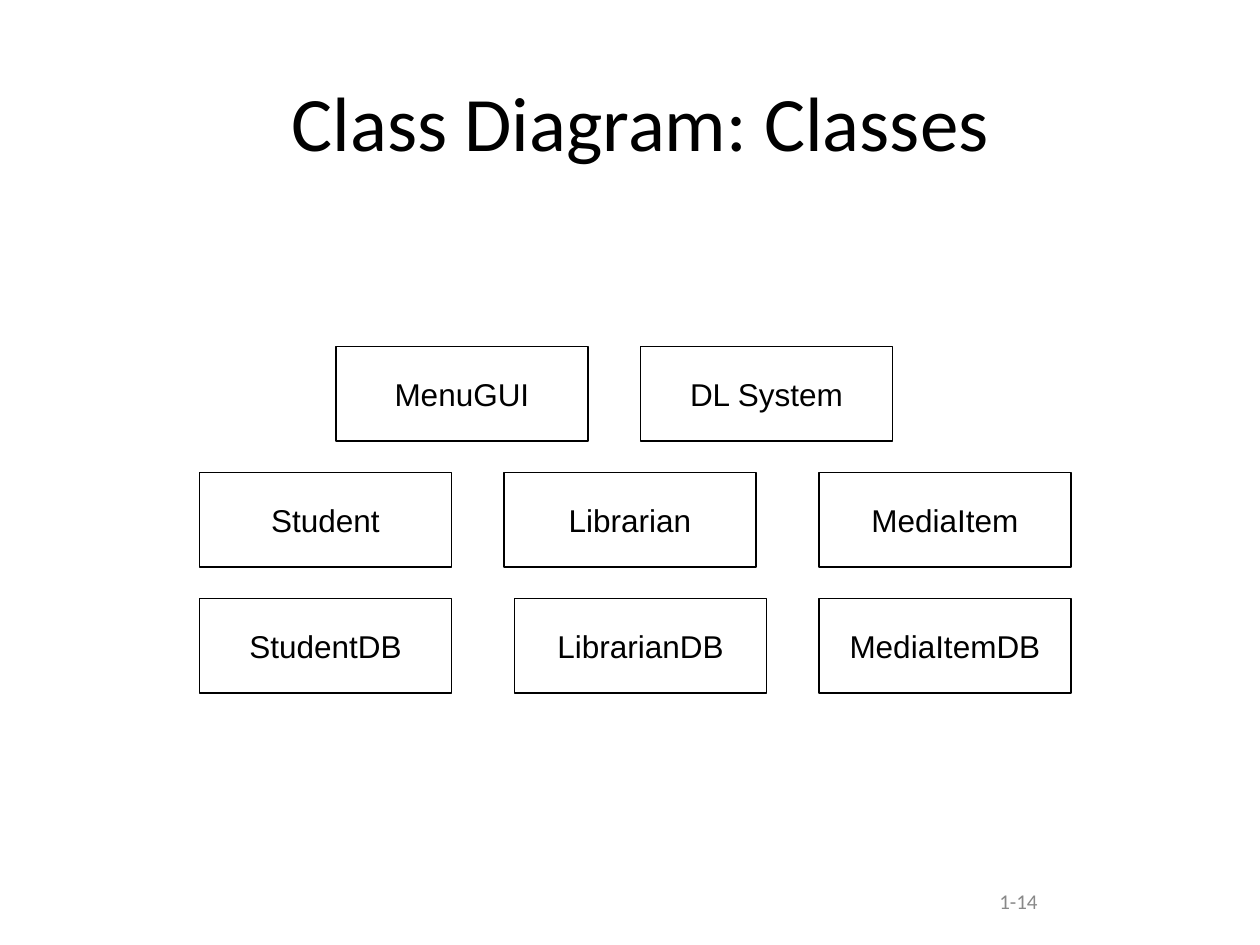
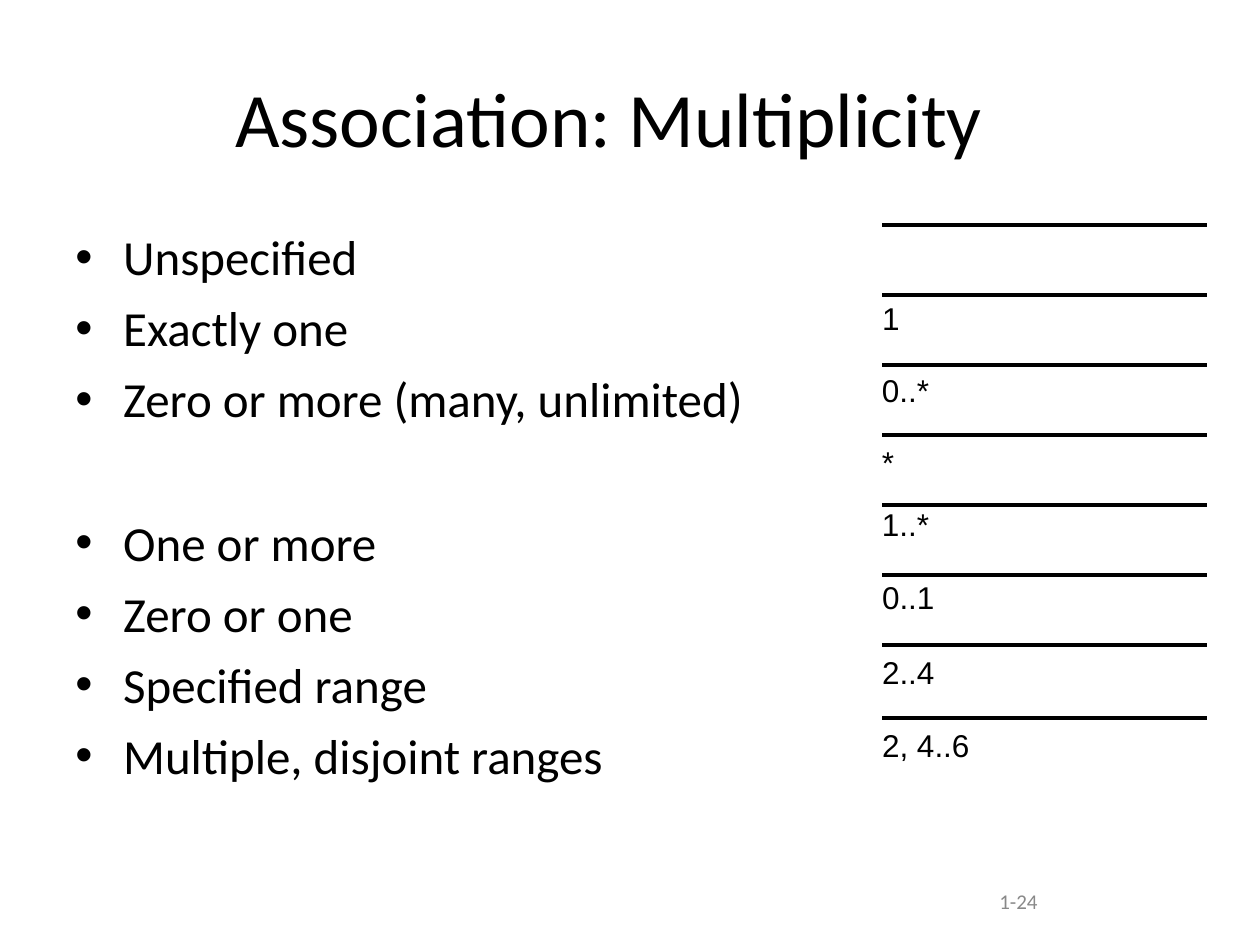
from collections import namedtuple
from dataclasses import dataclass

from lxml import etree
from pptx import Presentation
from pptx.dml.color import RGBColor
from pptx.enum.shapes import MSO_CONNECTOR, MSO_SHAPE
from pptx.enum.text import MSO_ANCHOR, MSO_AUTO_SIZE, PP_ALIGN
from pptx.oxml.ns import qn
from pptx.util import Inches, Pt

LEFT, CENTER, RIGHT = PP_ALIGN.LEFT, PP_ALIGN.CENTER, PP_ALIGN.RIGHT
TOP, MIDDLE = MSO_ANCHOR.TOP, MSO_ANCHOR.MIDDLE
FIT_SHAPE = MSO_AUTO_SIZE.SHAPE_TO_FIT_TEXT
RECTANGLE = MSO_SHAPE.RECTANGLE
STRAIGHT = MSO_CONNECTOR.STRAIGHT

WIDTH, HEIGHT = Inches(10), Inches(7.5)
COLUMNS, ROWS = 120, 90

Box = namedtuple("Box", "left top width height")
Style = namedtuple("Style", "name size color")


@dataclass(frozen=True)
class Theme:
    ink: RGBColor = RGBColor(0, 0, 0)
    muted: RGBColor = RGBColor(0x89, 0x89, 0x89)
    heading: str = "Calibri"
    label: str = "Arial"
    title_size: float = 44
    bullet_size: float = 28
    label_size: float = 18
    number_size: float = 12
    outline: float = 0.75
    rule: float = 2.25
    bullet_gap: float = 7
    group_gap: float = 48.2
    bullet_indent: float = 0.38


THEME = Theme()
TITLE = Style(THEME.heading, THEME.title_size, THEME.ink)
BULLET = Style(THEME.heading, THEME.bullet_size, THEME.ink)
LABEL = Style(THEME.label, THEME.label_size, THEME.ink)
NUMBER = Style(THEME.heading, THEME.number_size, THEME.muted)

NUMBER_BOX = Box(86, 83.4, 14, 4.8)

CLASS_SIZE = (24, 9)
CLASS_PITCH = 12
CLASS_ROWS = [
    {13: "MenuGUI", 42: "DL System"},
    {0: "Student", 29: "Librarian", 59: "MediaItem"},
    {0: "StudentDB", 30: "LibrarianDB", 59: "MediaItemDB"},
]

BULLET_GROUPS = [
    ["Unspecified", "Exactly one", "Zero or more (many, unlimited)"],
    ["One or more", "Zero or one", "Specified range", "Multiple, disjoint ranges"],
]

Multiplicity = namedtuple("Multiplicity", "text drop width shift", defaults=[0])
MULTIPLICITIES = [
    Multiplicity("", 0, 0),
    Multiplicity("1", 0.36, 1.8),
    Multiplicity("0..*", 0.6, 4.8),
    Multiplicity("*", 0.72, 1.4),
    Multiplicity("1..*", 0, 4.8),
    Multiplicity("0..1", 0.24, 5.4),
    Multiplicity("2..4", 0.72, 5.4),
    Multiplicity("2, 4..6", 0.72, 8.8, shift=0.3),
]
LABEL_HEIGHT = 3.6


def apply(target, values):
    for name, value in values.items():
        setattr(target, name, value)


def across(column):
    return round(WIDTH * column / COLUMNS)


def down(row):
    return round(HEIGHT * row / ROWS)


def emu(box):
    return across(box.left), down(box.top), across(box.width), down(box.height)


def write(para, text, style, align=LEFT):
    para.alignment = align
    span = para.add_run()
    span.text = text
    apply(span.font, {"name": style.name, "size": Pt(style.size)})
    span.font.color.rgb = style.color


def add_text(page, box, text, style, align=LEFT, **frame_values):
    frame = page.shapes.add_textbox(*emu(box)).text_frame
    apply(frame, {"word_wrap": True, "vertical_anchor": MIDDLE, **frame_values})
    write(frame.paragraphs[0], text, style, align)


def add_rule(page, left, top, width):
    rule = page.shapes.add_connector(
        STRAIGHT, across(left), down(top), across(left + width), down(top)
    )
    rule.line.color.rgb = THEME.ink
    rule.line.width = Pt(THEME.rule)
    etree.SubElement(rule._element.spPr, qn("a:effectLst"))


def add_class(page, box, name):
    shape = page.shapes.add_shape(RECTANGLE, *emu(box))
    shape.shadow.inherit = False
    shape.fill.background()
    shape.line.color.rgb = THEME.ink
    shape.line.width = Pt(THEME.outline)
    apply(shape.text_frame, {"word_wrap": False, "vertical_anchor": MIDDLE})
    write(shape.text_frame.paragraphs[0], name, LABEL, CENTER)


def add_classes(page, box):
    for index, row in enumerate(CLASS_ROWS):
        for offset, name in row.items():
            place = Box(box.left + offset, box.top + index * CLASS_PITCH, *CLASS_SIZE)
            add_class(page, place, name)


def add_bullets(page, box):
    frame = page.shapes.add_textbox(*emu(box)).text_frame
    frame.word_wrap = True
    indent = Inches(THEME.bullet_indent)
    para = None
    for group in BULLET_GROUPS:
        for position, text in enumerate(group):
            opens_group = para is not None and position == 0
            para = frame.add_paragraph() if para is not None else frame.paragraphs[0]
            para.space_before = Pt(THEME.group_gap if opens_group else THEME.bullet_gap)
            write(para, text, BULLET)
            properties = para._p.get_or_add_pPr()
            properties.set("marL", str(indent))
            properties.set("indent", str(-indent))
            etree.SubElement(properties, qn("a:buFont")).set("typeface", THEME.label)
            etree.SubElement(properties, qn("a:buChar")).set("char", "•")


def add_multiplicities(page, box):
    pitch = box.height / (len(MULTIPLICITIES) - 1)
    margins = dict.fromkeys(
        ("margin_left", "margin_top", "margin_right", "margin_bottom"), 0
    )
    for index, item in enumerate(MULTIPLICITIES):
        top = box.top + index * pitch + item.shift
        add_rule(page, box.left, top, box.width)
        if item.text:
            place = Box(box.left, top + item.drop, item.width, LABEL_HEIGHT)
            add_text(page, place, item.text, LABEL, word_wrap=False,
                     vertical_anchor=TOP, auto_size=FIT_SHAPE, **margins)


def add_page(deck, title_box, title, number):
    page = deck.slides.add_slide(deck.slide_layouts[6])
    add_text(page, title_box, title, TITLE, CENTER)
    add_text(page, NUMBER_BOX, number, NUMBER, RIGHT)
    return page


def main():
    deck = Presentation()
    apply(deck, {"slide_width": WIDTH, "slide_height": HEIGHT})

    classes = add_page(deck, Box(9, 4, 104, 15), "Class Diagram: Classes", "1-14")
    add_classes(classes, Box(19, 33, 83, 33))

    association = add_page(
        deck, Box(6, 3.6, 104, 15), "Association: Multiplicity", "1-24"
    )
    add_multiplicities(association, Box(84, 21.43, 31, 46.67))
    add_bullets(association, Box(6, 21, 108, 59.4))

    deck.save("out.pptx")


if __name__ == "__main__":
    main()
